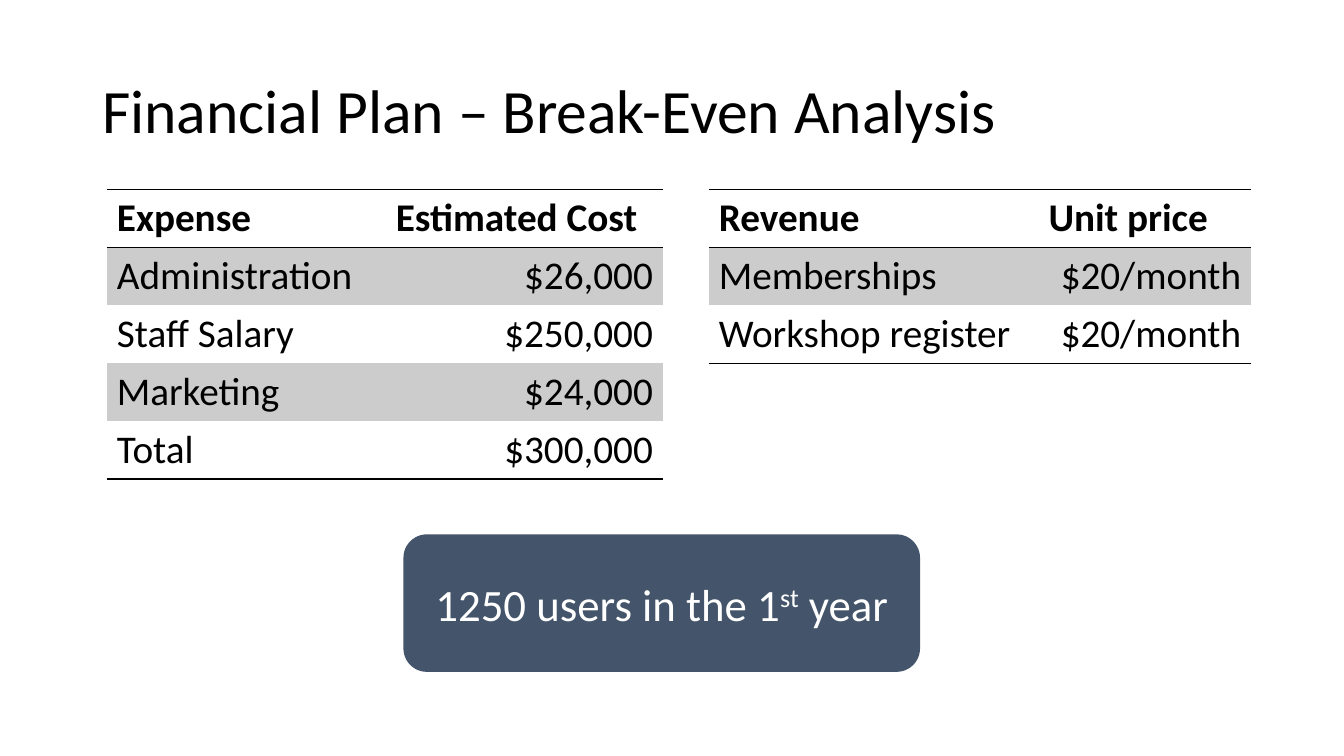
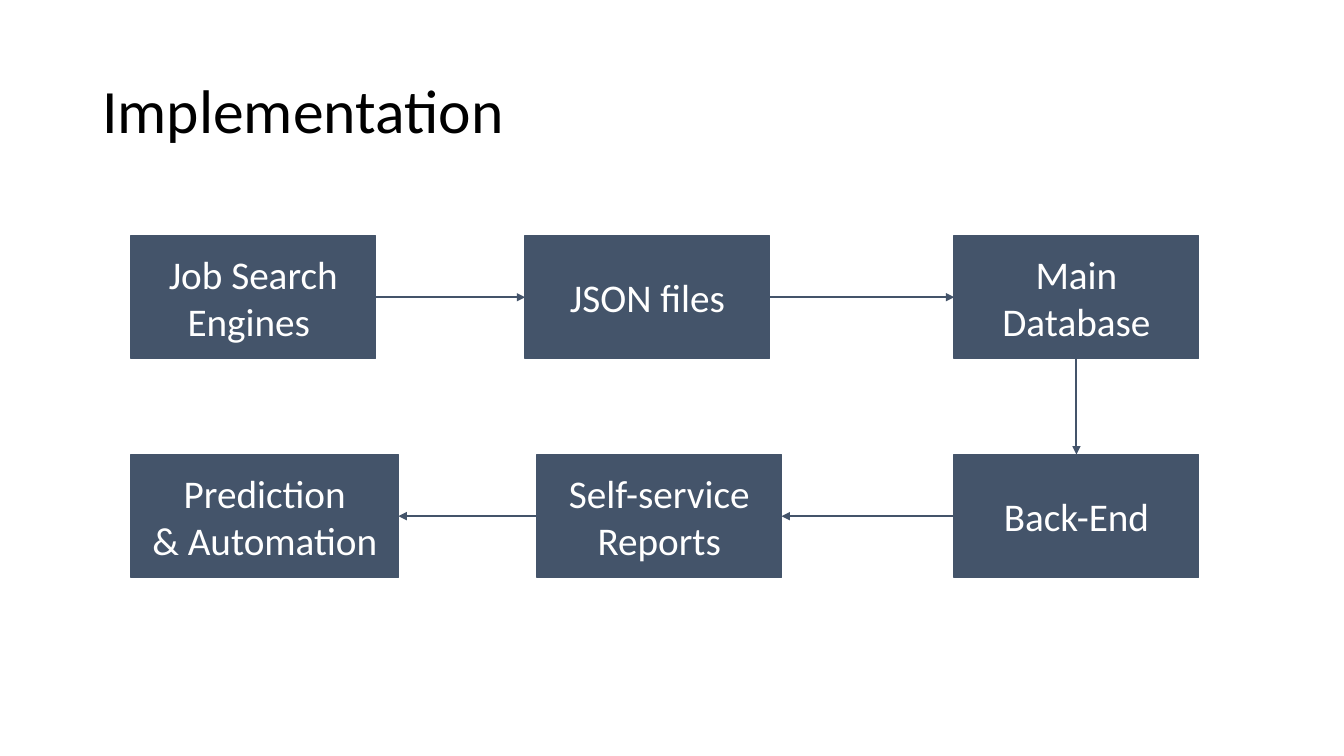
from lxml import etree
from pptx import Presentation
from pptx.dml.color import RGBColor
from pptx.enum import shapes, text
from pptx.oxml import ns
from pptx.util import Pt

COLORS = {"ink": "000000", "band": "CCCCCC", "slate": "44546A", "white": "FFFFFF"}
FONT = "Calibri"
BODY_SIZE = 28
ROW_HEIGHT = 41.4
PLAIN_TABLE_STYLE = "{2D5ABB26-0587-4C30-8999-92F81FD0307C}"
TOP, LEFT, BOTTOM, RIGHT = range(4)


def color(name):
    return RGBColor.from_string(COLORS[name])


def style_paragraph(paragraph, size, color_name, align=text.PP_ALIGN.LEFT, bold=False):
    paragraph.alignment = align
    paragraph.font.name = FONT
    paragraph.font.size = Pt(size)
    paragraph.font.bold = bold
    paragraph.font.color.rgb = color(color_name)


def add_title_slide(presentation, title):
    slide = presentation.slides.add_slide(presentation.slide_layouts[6])
    shape = slide.shapes.add_textbox(Pt(66), Pt(28.8), Pt(828), Pt(104.4))
    frame = shape.text_frame
    frame.word_wrap = True
    frame.vertical_anchor = text.MSO_ANCHOR.MIDDLE
    paragraph = frame.paragraphs[0]
    paragraph.text = title
    paragraph.line_spacing = 0.9
    style_paragraph(paragraph, 44, "ink")
    return slide


def add_panel(slide, kind, box, words, size):
    shape = slide.shapes.add_shape(kind, *map(Pt, box))
    shape.shadow.inherit = False
    shape.fill.solid()
    shape.fill.fore_color.rgb = color("slate")
    shape.line.color.rgb = color("slate")
    shape.line.width = Pt(1)
    frame = shape.text_frame
    frame.word_wrap = True
    frame.vertical_anchor = text.MSO_ANCHOR.MIDDLE
    frame.text = words
    for paragraph in frame.paragraphs:
        style_paragraph(paragraph, size, "white", text.PP_ALIGN.CENTER)
    return shape


def add_cell_rule(cell, side):
    line = etree.SubElement(cell._tc.get_or_add_tcPr(), ns.qn(f"a:{side}"), w=str(Pt(1)))
    fill = etree.SubElement(line, ns.qn("a:solidFill"))
    etree.SubElement(fill, ns.qn("a:srgbClr"), val=COLORS["ink"])


def add_price_table(slide, left, top, widths, rows):
    frame = slide.shapes.add_table(
        len(rows), len(widths), Pt(left), Pt(top), Pt(sum(widths)), Pt(ROW_HEIGHT * len(rows))
    )
    table = frame.table
    table._tbl.tblPr.find(ns.qn("a:tableStyleId")).text = PLAIN_TABLE_STYLE
    for column, width in zip(table.columns, widths):
        column.width = Pt(width)
    for row_index, values in enumerate(rows):
        table.rows[row_index].height = Pt(ROW_HEIGHT)
        header = row_index == 0
        for column_index, value in enumerate(values):
            cell = table.cell(row_index, column_index)
            cell.text = value
            price = column_index == 1 and not header
            align = text.PP_ALIGN.RIGHT if price else text.PP_ALIGN.LEFT
            style_paragraph(cell.text_frame.paragraphs[0], BODY_SIZE, "ink", align, header)
            if header:
                add_cell_rule(cell, "lnT")
            if header or row_index == len(rows) - 1:
                add_cell_rule(cell, "lnB")
            if row_index % 2:
                cell.fill.solid()
                cell.fill.fore_color.rgb = color("band")
            else:
                cell.fill.background()


def add_callout(slide, box):
    shape = add_panel(slide, shapes.MSO_SHAPE.ROUNDED_RECTANGLE, box, "1250 users in the 1", 32)
    paragraph = shape.text_frame.paragraphs[0]
    ordinal = paragraph.add_run()
    ordinal.text = "st"
    ordinal._r.get_or_add_rPr().set("baseline", "30000")
    paragraph.add_run().text = " year"


def add_arrow(slide, start, start_side, end, end_side):
    connector = slide.shapes.add_connector(shapes.MSO_CONNECTOR.STRAIGHT, 0, 0, 0, 0)
    connector.begin_connect(start, start_side)
    connector.end_connect(end, end_side)
    connector.line.color.rgb = color("slate")
    connector.line.width = Pt(1.5)
    line = connector.line._get_or_add_ln()
    etree.SubElement(line, ns.qn("a:tailEnd"), type="triangle")
    etree.SubElement(connector._element.spPr, ns.qn("a:effectLst"))


def add_flow(slide, left, top, width, height):
    step_width, step_height = 174.6, 88
    right = width - step_width
    bottom = height - step_height
    steps = [
        (0, 0, step_width, "Job Search Engines "),
        (281.5, 0, step_width, "JSON files"),
        (right, 0, step_width, "Main Database"),
        (right, bottom, step_width, "Back-End"),
        (290, bottom, step_width, "Self-service Reports"),
        (0, bottom, 191, "Prediction\n& Automation"),
    ]
    panels = [
        add_panel(slide, shapes.MSO_SHAPE.RECTANGLE,
                  (left + x, top + y, panel_width, step_height), words, BODY_SIZE)
        for x, y, panel_width, words in steps
    ]
    sides = [(RIGHT, LEFT), (RIGHT, LEFT), (BOTTOM, TOP), (LEFT, RIGHT), (LEFT, RIGHT)]
    for start, end, (start_side, end_side) in zip(panels, panels[1:], sides):
        add_arrow(slide, start, start_side, end, end_side)


def build_financial_slide(presentation):
    slide = add_title_slide(presentation, "Financial Plan – Break-Even Analysis")
    add_price_table(slide, 76.3, 135.2, (199.3, 198), [
        ("Expense", "Estimated Cost"),
        ("Administration", "$26,000"),
        ("Staff Salary", "$250,000"),
        ("Marketing", "$24,000"),
        ("Total", "$300,000"),
    ])
    add_price_table(slide, 506.3, 135.2, (235.5, 152), [
        ("Revenue", "Unit price"),
        ("Memberships", "$20/month"),
        ("Workshop register", "$20/month"),
    ])
    add_callout(slide, (288.7, 382.2, 368, 97.2))


def build_implementation_slide(presentation):
    slide = add_title_slide(presentation, "Implementation")
    add_flow(slide, 93.6, 168.3, 762.6, 244.4)


def main():
    presentation = Presentation()
    presentation.slide_width = Pt(960)
    presentation.slide_height = Pt(540)
    build_financial_slide(presentation)
    build_implementation_slide(presentation)
    presentation.save("out.pptx")


if __name__ == "__main__":
    main()
